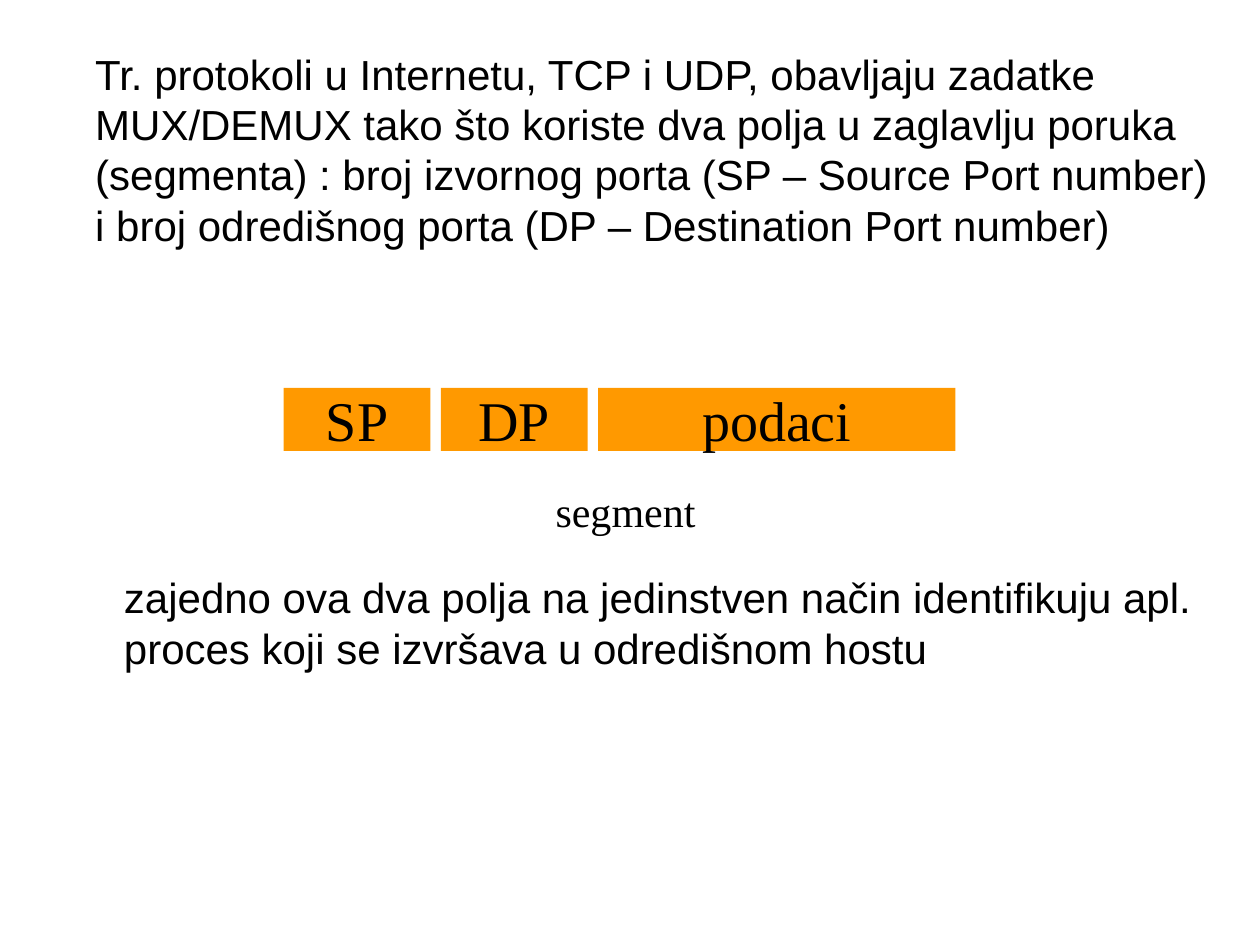
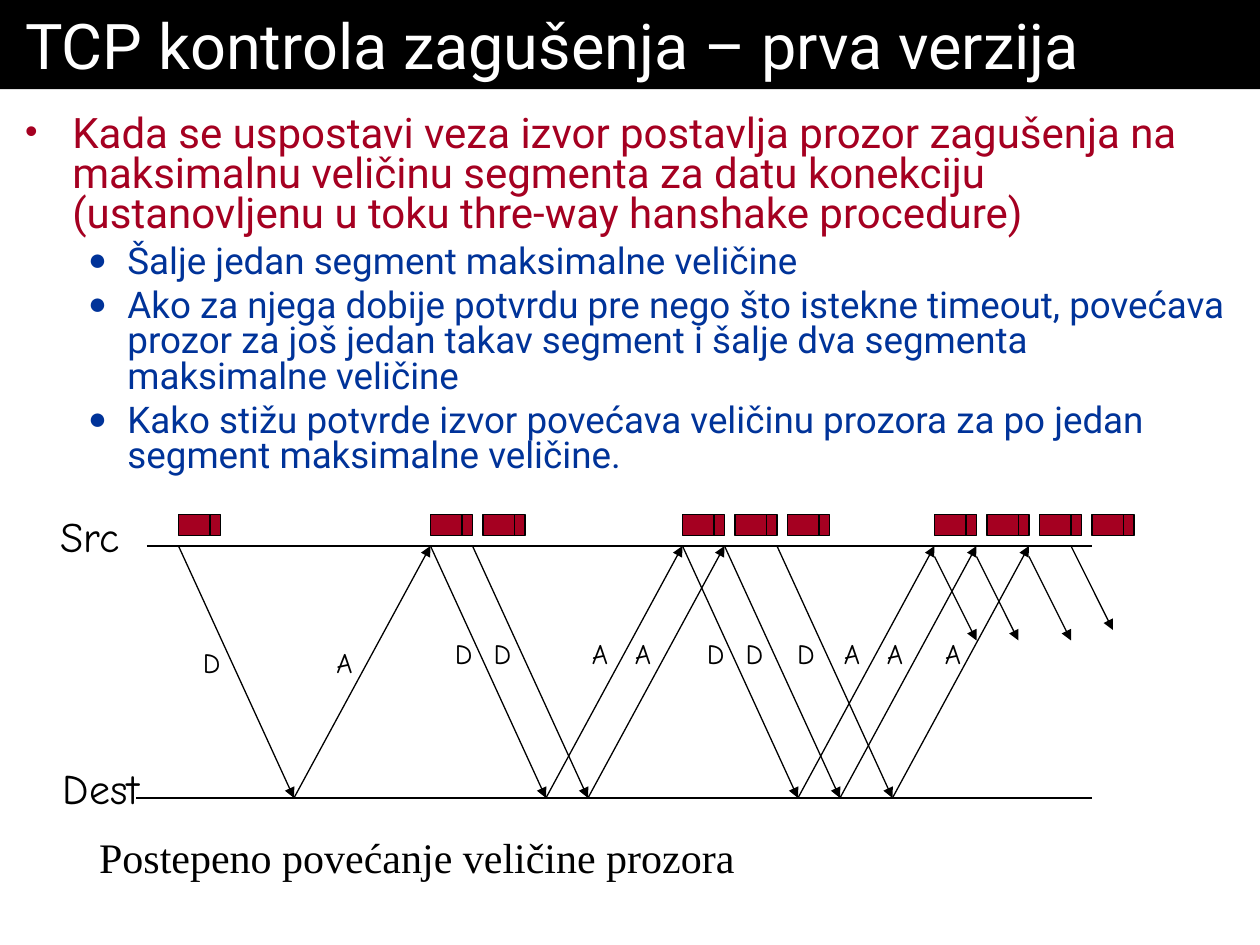
from lxml.etree import SubElement
from pptx import Presentation
from pptx.dml.color import RGBColor
from pptx.enum.shapes import MSO_CONNECTOR, MSO_SHAPE
from pptx.enum.text import MSO_ANCHOR, PP_ALIGN
from pptx.oxml.ns import qn
from pptx.util import Cm, Pt

COLORS = {"ink": "000000", "paper": "FFFFFF", "field": "FF9900",
          "crimson": "A50021", "blue": "003399"}
SANS, SERIF, HAND, ROBOTO = "Arial", "Times New Roman", "Comic Neue", "Roboto"
TICK = 2.54 / 12
SRC_Y, DEST_Y = 52, 76


def color(name):
    return RGBColor.from_string(COLORS[name])


def write(paragraph, text, size=24, font=SANS, ink="ink", align=PP_ALIGN.LEFT,
          spacing=None, before=None, margin=0, hanging=0, bullet=None):
    properties = paragraph._p.get_or_add_pPr()
    properties.set("marL", str(Cm(margin)))
    properties.set("indent", str(-Cm(hanging)))
    if bullet:
        bullet_color = SubElement(properties, qn("a:buClr"))
        SubElement(bullet_color, qn("a:srgbClr"), val=COLORS[ink])
        SubElement(properties, qn("a:buSzPct"), val="85000")
        SubElement(properties, qn("a:buFont"), typeface=SANS)
        SubElement(properties, qn("a:buChar"), char=bullet)
    paragraph.alignment = align
    if spacing:
        paragraph.line_spacing = spacing
    if before:
        paragraph.space_before = Pt(before)
    run = paragraph.add_run()
    run.text = text
    run.font.size = Pt(size)
    run.font.name = font
    run.font.color.rgb = color(ink)


class Deck:
    """Holds the shared style and the slide being filled."""

    def __init__(self):
        self.presentation = Presentation()
        self.presentation.slide_width = Cm(25.4)
        self.presentation.slide_height = Cm(19.05)
        self.slide = None

    def new_slide(self):
        self.slide = self.presentation.slides.add_slide(self.presentation.slide_layouts[6])
        self.slide.background.fill.solid()
        self.slide.background.fill.fore_color.rgb = color("paper")

    def frame(self, holder, wrap, side=0.25, top=0.13):
        frame = holder.text_frame
        frame.word_wrap = wrap
        frame.margin_left = frame.margin_right = Cm(side)
        frame.margin_top = frame.margin_bottom = Cm(top)
        return frame

    def text(self, left, top, width, height, text, wrap=False, **style):
        holder = self.slide.shapes.add_textbox(Cm(left), Cm(top), Cm(width), Cm(height))
        write(self.frame(holder, wrap).paragraphs[0], text, **style)

    def outline(self, left, top, width, height, items):
        holder = self.slide.shapes.add_textbox(Cm(left), Cm(top), Cm(width), Cm(height))
        frame = self.frame(holder, True, 0.51, 0.38)
        for index, (text, style) in enumerate(items):
            paragraph = frame.add_paragraph() if index else frame.paragraphs[0]
            write(paragraph, text, font=ROBOTO, spacing=0.8, **style)

    def box(self, left, top, width, height, fill, border=None):
        box = self.slide.shapes.add_shape(MSO_SHAPE.RECTANGLE, Cm(left), Cm(top),
                                          Cm(width), Cm(height))
        box.shadow.inherit = False
        box.fill.solid()
        box.fill.fore_color.rgb = color(fill)
        if border:
            box.line.color.rgb = color(border)
            box.line.width = Pt(0.75)
        else:
            box.line.fill.background()
        return box

    def title(self, text):
        band = self.box(0, 0, 25.4, 1.8, "ink")
        frame = self.frame(band, True, 0.51)
        frame.vertical_anchor = MSO_ANCHOR.TOP
        write(frame.paragraphs[0], text, size=36, font=ROBOTO, ink="paper")

    def field(self, left, width, text):
        frame = self.frame(self.box(left, 7.82, width, 1.27, "field"), False)
        frame.vertical_anchor = MSO_ANCHOR.MIDDLE
        write(frame.paragraphs[0], text, size=32, font=SERIF, align=PP_ALIGN.CENTER)

    def line(self, x1, y1, x2, y2, arrow=False):
        ends = [Cm(tick * TICK) for tick in (x1, y1, x2, y2)]
        line = self.slide.shapes.add_connector(MSO_CONNECTOR.STRAIGHT, *ends)
        line.line.color.rgb = color("ink")
        line.line.width = Pt(0.75)
        if arrow:
            SubElement(line.line._get_or_add_ln(), qn("a:tailEnd"), type="triangle")
        SubElement(line._element.spPr, qn("a:effectLst"))

    def segment(self, x):
        self.box(x * TICK, 49 * TICK, 4 * TICK, 2 * TICK, "crimson", "ink")
        self.line(x + 3, 49, x + 3, 51)


def ports_slide(deck):
    deck.new_slide()
    prose = {"wrap": True, "margin": 0.6, "spacing": Pt(28.8)}
    deck.text(1.07, 0.84, 23.55, 4.32,
              "Tr. protokoli u Internetu, TCP i UDP, obavljaju zadatke MUX/DEMUX tako što "
              "koriste dva polja u zaglavlju poruka (segmenta) : broj izvornog porta "
              "(SP – Source Port number) i broj odredišnog porta "
              "(DP – Destination Port number)", **prose)
    left = 5.72
    for name, width in (("SP", 2.96), ("DP", 2.96), ("podaci", 7.2)):
        deck.field(left, width, name)
        left += width + 0.21
    deck.text(10.95, 9.65, 3.33, 1.27, "segment", font=SERIF)
    deck.text(1.65, 11.4, 22.91, 2.29,
              "zajedno ova dva polja na jedinstven način identifikuju apl. proces koji se "
              "izvršava u odredišnom hostu", **prose)


def congestion_slide(deck):
    deck.new_slide()
    deck.title("TCP kontrola zagušenja – prva verzija")
    main = {"ink": "crimson", "bullet": "•", "margin": 0.95, "hanging": 0.95}
    detail = {"ink": "blue", "bullet": "●", "margin": 2.06, "hanging": 0.79,
              "size": 21, "before": 5.2}
    deck.outline(0, 1.96, 25.4, 8.2, [
        ("Kada se uspostavi veza izvor postavlja prozor zagušenja na maksimalnu veličinu "
         "segmenta za datu konekciju (ustanovljenu u toku thre-way hanshake procedure)", main),
        ("Šalje jedan segment maksimalne veličine", detail),
        ("Ako za njega dobije potvrdu pre nego što istekne timeout, povećava prozor za još "
         "jedan takav segment i šalje dva segmenta maksimalne veličine", detail),
        ("Kako stižu potvrde izvor povećava veličinu prozora za po jedan segment "
         "maksimalne veličine.", detail)])

    deck.line(14, SRC_Y, 104, SRC_Y)
    deck.line(13, DEST_Y, 104, DEST_Y)
    for sent in (17, 41, 45, 65, 69, 74):
        received = sent + 11
        deck.line(sent, SRC_Y, received, DEST_Y, arrow=True)
        deck.line(received, DEST_Y, received + 13, SRC_Y, arrow=True)
    for burst in range(4):
        for order in range(burst + 1):
            deck.segment(17 + 24 * burst + 5 * order)
    for sent, start in ((89, 53), (93, 53), (98, 53), (102, SRC_Y)):
        deck.line(sent, start, sent + 4, start + 8, arrow=True)

    marks = {"D": (3.84, 8.92, 9.7, 14, 14.78, 15.82),
             "A": (6.53, 11.68, 12.55, 16.76, 17.63, 18.8)}
    for letter, places in marks.items():
        for order, left in enumerate(places):
            deck.text(left, 12.7 if order else 12.89, 0.86, 0.94, letter, size=16, font=HAND)
    deck.text(0.97, 10.16, 1.7, 1.27, "Src", font=HAND)
    deck.text(1.02, 15.24, 2.06, 1.27, "Dest", font=HAND)
    deck.text(1.75, 16.64, 15.24, 1.27, "Postepeno povećanje veličine prozora", font=SERIF)


def main():
    deck = Deck()
    ports_slide(deck)
    congestion_slide(deck)
    deck.presentation.save("out.pptx")


if __name__ == "__main__":
    main()
